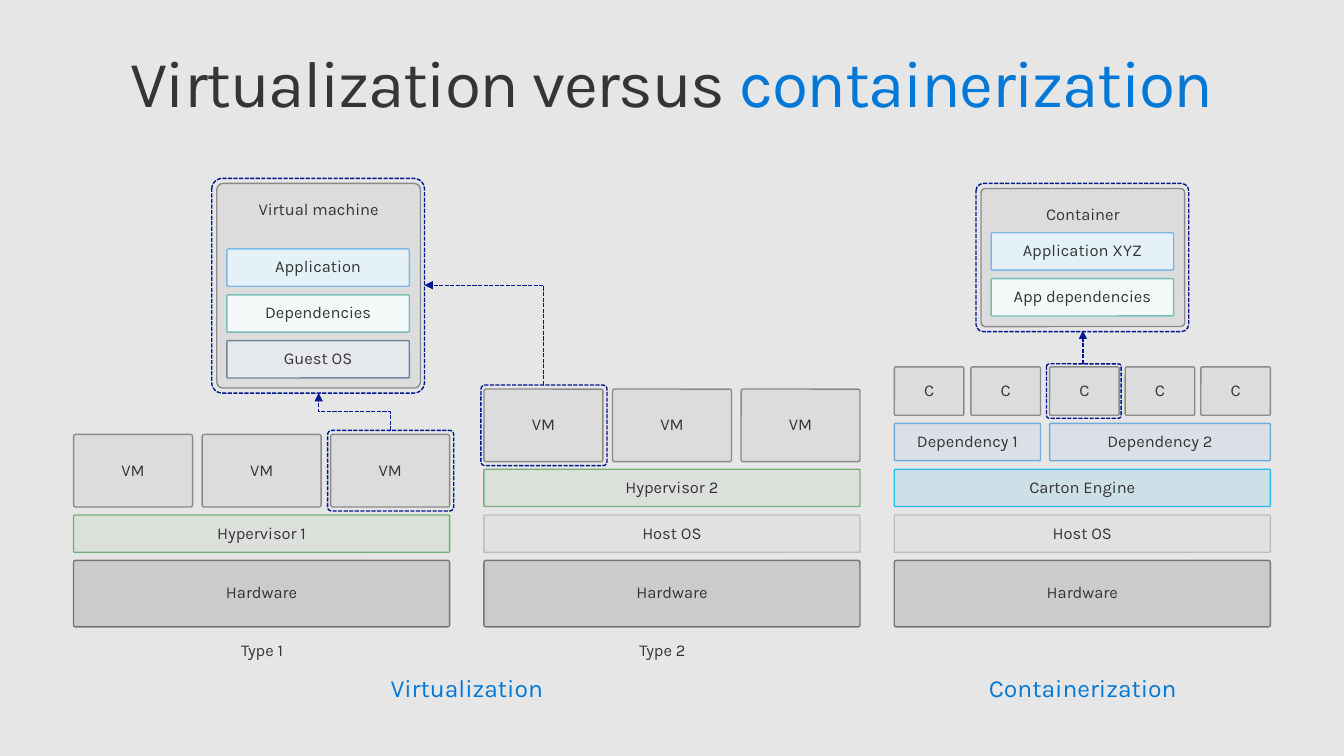
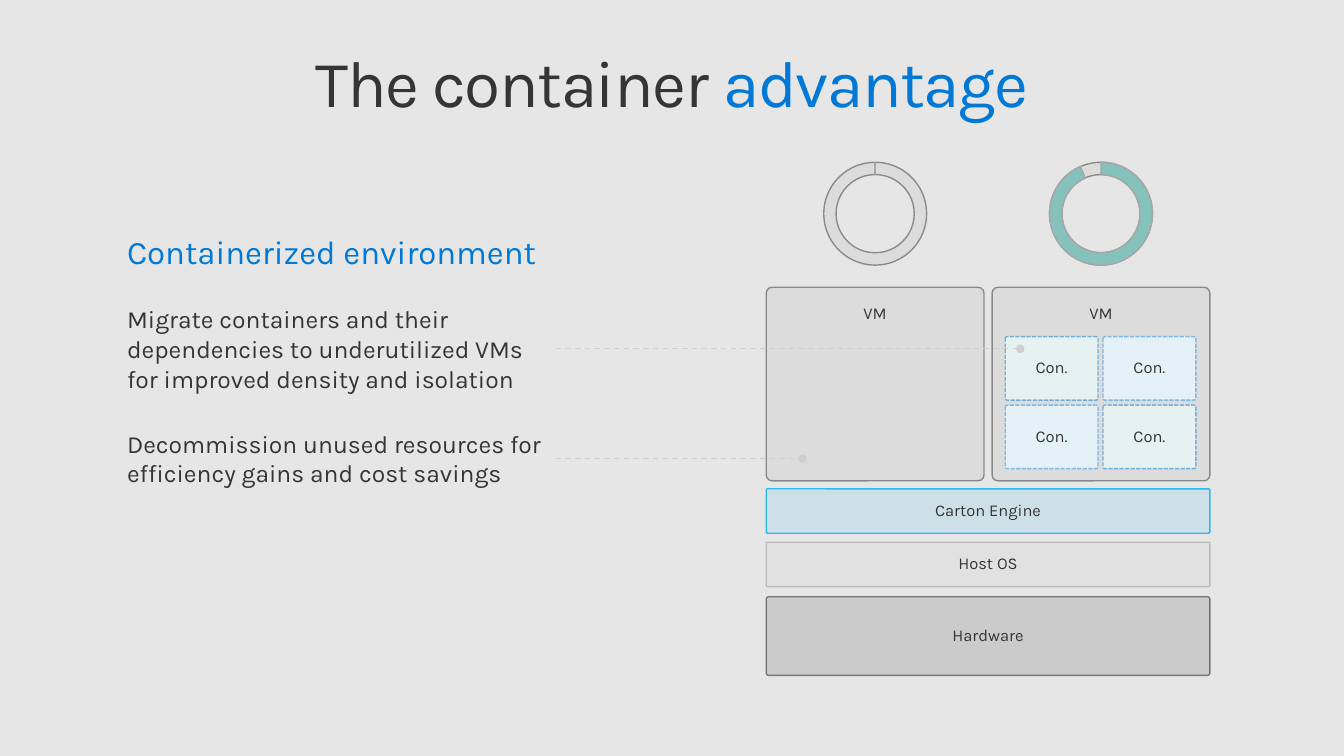
from dataclasses import dataclass

from lxml import etree
from pptx import Presentation
from pptx.dml.color import RGBColor
from pptx.enum import dml, shapes, text
from pptx.oxml.ns import qn
from pptx.util import Pt

# Shared look: lengths are px, 100 to the inch
PX = 9144
FONT = "Karla"
LABEL_SIZE, BODY_SIZE, HEADING_SIZE, TITLE_SIZE = 11.8, 17.6, 23.5, 47
ENGINE_NAME = "Carton Engine"

BACKGROUND = RGBColor(0xE6, 0xE6, 0xE6)
INK = RGBColor(0x35, 0x35, 0x35)
BLUE = RGBColor(0x00, 0x78, 0xD7)
NAVY = RGBColor(0x00, 0x18, 0x8F)
GREEN = RGBColor(0x10, 0x7C, 0x10)
GREY = RGBColor(0x96, 0x96, 0x96)
CYAN = RGBColor(0x00, 0xB0, 0xF0)
SKY = RGBColor(0x7F, 0xB8, 0xE2)
PALE_SKY = RGBColor(0xE5, 0xF1, 0xF9)
TEAL = RGBColor(0x79, 0xBE, 0xB5)
PALE_TEAL = RGBColor(0xF2, 0xF9, 0xF8)
MINT = RGBColor(0xE5, 0xF2, 0xF1)
SLATE = RGBColor(0x72, 0x84, 0x9E)
PALE_SLATE = RGBColor(0xE5, 0xE8, 0xED)
GAUGE = RGBColor(0x84, 0xC2, 0xBB)
GAUGE_EDGE = RGBColor(0xA7, 0xA7, 0xA7)
LEADER = RGBColor(0xCF, 0xCF, 0xCF)

SYS_DASH = dml.MSO_LINE.SQUARE_DOT
TOP, MIDDLE = text.MSO_ANCHOR.TOP, text.MSO_ANCHOR.MIDDLE
CENTER = text.PP_ALIGN.CENTER


@dataclass(frozen=True)
class Look:
    fill: RGBColor | None
    line: RGBColor
    fill_alpha: int = 100
    line_alpha: int = 100
    dash: dml.MSO_LINE | None = None


HARDWARE = Look(INK, INK, 15, 60)
MACHINE = Look(INK, INK, 5, 50)
HOST = Look(GREY, GREY, 5, 50)
HYPERVISOR = Look(GREEN, GREEN, 5, 50)
ENGINE = Look(CYAN, CYAN, 10, 80)
DEPENDENCY = Look(BLUE, BLUE, 5, 50)
APP = Look(PALE_SKY, SKY)
APP_DEPENDENCY = Look(PALE_TEAL, TEAL)
GUEST = Look(PALE_SLATE, SLATE)
HIGHLIGHT = Look(None, NAVY, dash=SYS_DASH)
MINT_CONTAINER = Look(MINT, BLUE, 100, 50, SYS_DASH)
SKY_CONTAINER = Look(PALE_SKY, SKY, dash=SYS_DASH)
GAUGE_FILL = Look(GAUGE, GAUGE_EDGE)


def px(*lengths):
    return [round(length * PX) for length in lengths]


# Text helpers
def style_run(run, size, color):
    run.font.name = FONT
    run.font.size = Pt(size)
    run.font.color.rgb = color


def set_frame(frame, side, end, anchor=TOP):
    frame.word_wrap = True
    frame.auto_size = text.MSO_AUTO_SIZE.NONE
    frame.vertical_anchor = anchor
    frame.margin_left, frame.margin_top, frame.margin_right, frame.margin_bottom = px(
        side, end, side, end)


def place(shape, at):
    shape.left, shape.top, shape.width, shape.height = px(*at)


def add_title(slide, plain, accent):
    paragraph = slide.shapes.title.text_frame.paragraphs[0]
    paragraph.alignment = CENTER
    paragraph.line_spacing = 0.9
    for words, color in ((plain, INK), (accent, BLUE)):
        run = paragraph.add_run()
        run.text = words
        style_run(run, TITLE_SIZE, color)
        run.font._element.set("spc", "-100")


def add_caption(slide, at, words, size, color):
    frame = slide.shapes.add_textbox(*px(*at)).text_frame
    set_frame(frame, 16, 16)
    frame.text = words
    paragraph = frame.paragraphs[0]
    paragraph.alignment = CENTER
    style_run(paragraph.runs[0], size, color)


def add_body(slide, at, heading, points):
    body = slide.placeholders[1]
    place(body, at)
    frame = body.text_frame
    set_frame(frame, 16, 16)
    frame.text = "\n".join([heading, *points])
    for index, paragraph in enumerate(frame.paragraphs):
        properties = paragraph._element.get_or_add_pPr()
        properties.set("marL", "0")
        properties.set("indent", "0")
        etree.SubElement(properties, qn("a:buNone"))
        size, color, gap = (BODY_SIZE, INK, 25.6) if index else (HEADING_SIZE, BLUE, 23.5)
        paragraph.space_before = Pt(0)
        paragraph.space_after = Pt(gap)
        style_run(paragraph.runs[0], size, color)


# Shape helpers
def set_alpha(parent, percent):
    if percent < 100:
        color = parent.find(qn("a:solidFill"))[0]
        etree.SubElement(color, qn("a:alpha"), val=str(percent * 1000))


def add_preset(slide, kind, at, look, adjustments):
    shape = slide.shapes.add_shape(kind, *px(*at))
    shape.shadow.inherit = False
    for index, value in enumerate(adjustments):
        shape.adjustments[index] = value
    properties = shape._element.spPr
    if look.fill is None:
        shape.fill.background()
    else:
        shape.fill.solid()
        shape.fill.fore_color.rgb = look.fill
        set_alpha(properties, look.fill_alpha)
    shape.line.width = Pt(1)
    shape.line.color.rgb = look.line
    if look.dash:
        shape.line.dash_style = look.dash
    set_alpha(properties.find(qn("a:ln")), look.line_alpha)
    return shape


def add_box(slide, at, label, look, anchor=MIDDLE):
    box = add_preset(slide, shapes.MSO_SHAPE.ROUNDED_RECTANGLE, at, look, [0.03])
    frame = box.text_frame
    set_frame(frame, 20, 16, anchor)
    frame.text = label
    paragraph = frame.paragraphs[0]
    paragraph.alignment = CENTER
    paragraph.line_spacing = 0.9
    style_run(paragraph.runs[0], LABEL_SIZE, INK)


def add_row(slide, at, count, cell, label):
    """Spread equal boxes over the full width of a row."""
    left, top, width, height = at
    pitch = (width - cell) / (count - 1)
    for index in range(count):
        add_box(slide, (left + index * pitch, top, cell, height), label, MACHINE)


def add_highlight(slide, at):
    add_preset(slide, shapes.MSO_SHAPE.ROUNDED_RECTANGLE, at, HIGHLIGHT, [0.05])


def add_gauge(slide, left, end_angle):
    """Ring whose filled part runs clockwise from 12 o'clock to end_angle."""
    at = (left, 161, 102, 102)
    add_preset(slide, shapes.MSO_SHAPE.DONUT, at, MACHINE, [0.12])
    add_preset(slide, shapes.MSO_SHAPE.BLOCK_ARC, at, GAUGE_FILL,
               [270 * 0.6, end_angle * 0.6, 0.12])


# Connector helpers
def finish_connector(connector, color, dash, tip):
    connector.line.width = Pt(1)
    connector.line.color.rgb = color
    connector.line.dash_style = dash
    properties = connector._element.spPr
    etree.SubElement(properties.find(qn("a:ln")), qn("a:tailEnd"), type=tip)
    etree.SubElement(properties, qn("a:effectLst"))


def add_line(slide, start, end, color, dash, tip):
    line = slide.shapes.add_connector(
        shapes.MSO_CONNECTOR.STRAIGHT, *px(*start, *end))
    finish_connector(line, color, dash, tip)


def add_elbow(slide, start, end, preset):
    """Arrow that leaves upwards and ends to the upper left."""
    run, rise = start[0] - end[0], start[1] - end[1]
    left = (start[0] + end[0] - rise) / 2
    top = (start[1] + end[1] - run) / 2
    elbow = slide.shapes.add_connector(
        shapes.MSO_CONNECTOR.ELBOW, *px(left, top, left + rise, top + run))
    properties = elbow._element.spPr
    frame = properties.find(qn("a:xfrm"))
    frame.set("rot", str(270 * 60000))
    frame.set("flipV", "1")
    properties.find(qn("a:prstGeom")).set("prst", preset)
    finish_connector(elbow, NAVY, SYS_DASH, "triangle")


# Slides
def build_comparison(prs):
    slide = prs.slides.add_slide(prs.slide_layouts[5])
    add_title(slide, "Virtualization versus ", "containerization")

    # Stacks, from the hardware upwards
    stacks = (
        (73, [("Hypervisor 1", HYPERVISOR)]),
        (480, [("Host OS", HOST), ("Hypervisor 2", HYPERVISOR)]),
        (887, [("Host OS", HOST), (ENGINE_NAME, ENGINE)]),
    )
    for left, layers in stacks:
        add_box(slide, (left, 556, 373, 66), "Hardware", HARDWARE)
        for level, (label, look) in enumerate(layers):
            add_box(slide, (left, 511 - 45.5 * level, 373, 37), label, look)
    for left, top in ((73, 431), (480, 386)):
        add_row(slide, (left, top, 373, 72), 3, 118, "VM")
    for label, left, width, count in (("Dependency 1", 887, 145, 2),
                                      ("Dependency 2", 1041, 219, 3)):
        add_box(slide, (left, 420, width, 37), label, DEPENDENCY)
        add_row(slide, (left, 364, width, 48), count, 69, "C")

    # Enlarged machine and container
    details = (
        ((215, 182, 202, 203), "Virtual machine", 247,
         [("Application", APP), ("Dependencies", APP_DEPENDENCY), ("Guest OS", GUEST)]),
        ((973, 187, 202, 137), "Container", 231,
         [("Application XYZ", APP), ("App dependencies", APP_DEPENDENCY)]),
    )
    for at, name, first_top, parts in details:
        add_box(slide, at, name, MACHINE, TOP)
        for index, (label, look) in enumerate(parts):
            add_box(slide, (at[0] + 10, first_top + 45.5 * index, 181, 37), label, look)
        add_highlight(slide, (at[0] - 5, at[1] - 5, 211, at[3] + 10))

    # Highlighted sources and their arrows
    for at in ((325, 427, 125, 80), (477, 382, 125, 80), (1038, 361, 74, 54)):
        add_highlight(slide, at)
    add_elbow(slide, (387, 427), (316, 390), "bentConnector3")
    add_elbow(slide, (539, 382), (421, 283), "bentConnector2")
    add_line(slide, (1074, 361), (1074, 328), NAVY, SYS_DASH, "triangle")

    # Captions
    for left, label in ((164, "Type 1"), (561, "Type 2")):
        add_caption(slide, (left, 619, 192, 51), label, LABEL_SIZE, INK)
    for left, label in ((269, "Virtualization"), (880, "Containerization")):
        add_caption(slide, (left, 652, 388, 61), label, BODY_SIZE, BLUE)


def build_advantage(prs):
    slide = prs.slides.add_slide(prs.slide_layouts[1])
    add_title(slide, "The container ", "advantage")
    add_body(slide, (110, 214, 449, 286), "Containerized environment", [
        "Migrate containers and their dependencies to underutilized VMs "
        "for improved density and isolation",
        "Decommission unused resources for efficiency gains and cost savings",
    ])

    # Stack with two machines
    for top, height, label, look in ((592, 78, "Hardware", HARDWARE),
                                     (538, 44, "Host OS", HOST),
                                     (485, 44, ENGINE_NAME, ENGINE)):
        add_box(slide, (760, top, 440, height), label, look)
    for left in (760, 984):
        add_box(slide, (left, 285, 216, 192), "VM", MACHINE, TOP)
    for row in range(2):
        for column in range(2):
            look = MINT_CONTAINER if row == column else SKY_CONTAINER
            add_box(slide, (997 + 97 * column, 334 + 68 * row, 92, 63), "Con.", look)

    # Load gauges and leader lines
    add_gauge(slide, 817, 270.1)
    add_gauge(slide, 1041, 246.35)
    for top, right in ((346, 1012), (455, 796)):
        add_line(slide, (551, top), (right, top), LEADER, dml.MSO_LINE.DASH, "oval")


def main():
    prs = Presentation()
    prs.slide_width, prs.slide_height = px(1333, 750)
    master = prs.slide_master
    master.background.fill.solid()
    master.background.fill.fore_color.rgb = BACKGROUND
    title = master.placeholders[0]
    place(title, (29, 40, 1275, 98))
    set_frame(title.text_frame, 16, 10)
    build_comparison(prs)
    build_advantage(prs)
    prs.save("out.pptx")


if __name__ == "__main__":
    main()
